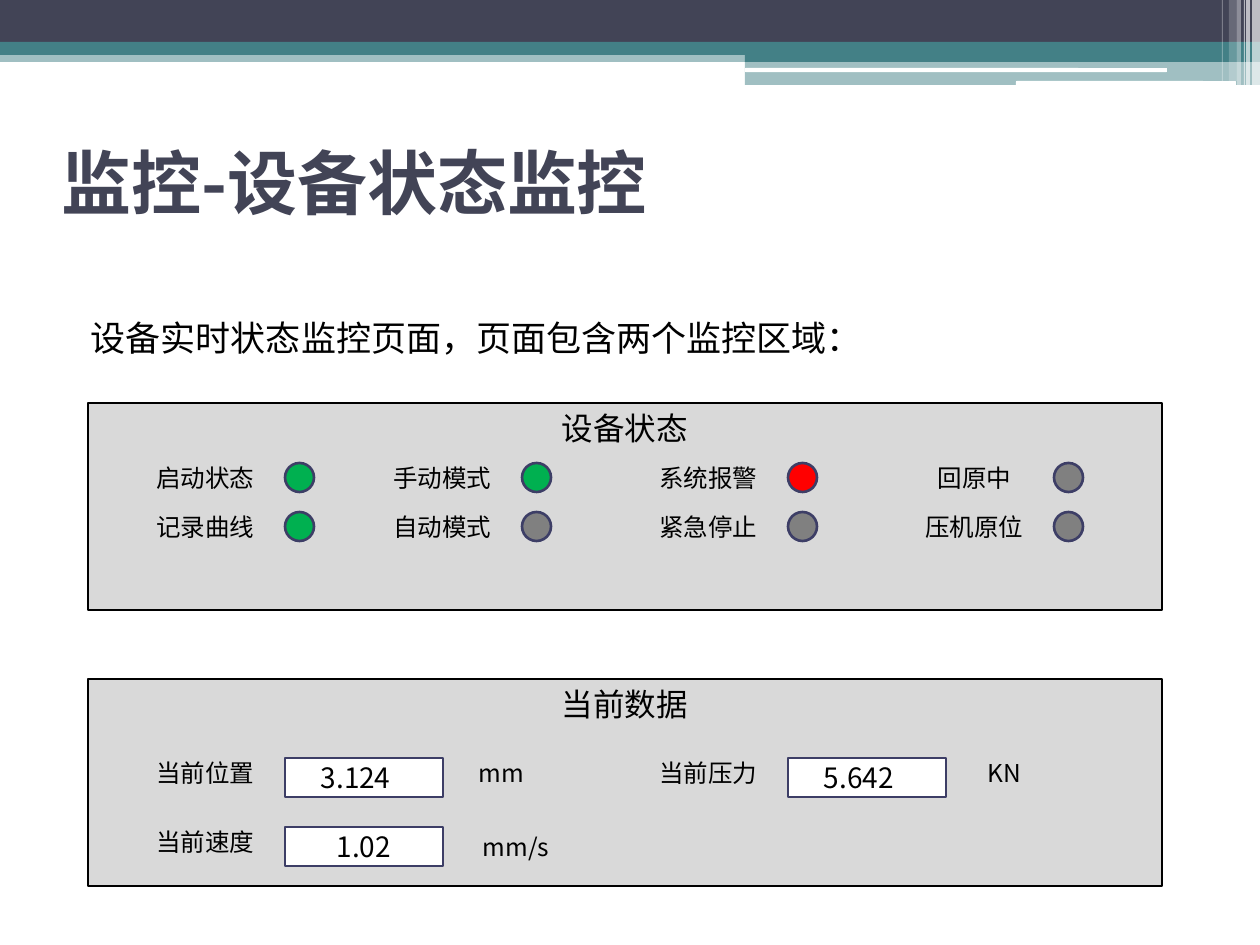
from dataclasses import dataclass
from lxml.etree import SubElement
from pptx import Presentation
from pptx.dml.color import RGBColor
from pptx.enum.lang import MSO_LANGUAGE_ID
from pptx.enum.shapes import MSO_SHAPE
from pptx.enum.text import MSO_ANCHOR, PP_ALIGN
from pptx.oxml.ns import qn
from pptx.util import Emu, Inches, Pt

SCALE = 914400 / 126


def px(n):
    return Emu(round(n * SCALE))


@dataclass(frozen=True)
class Theme:
    font: str = "Noto Sans CJK SC"
    navy: str = "424456"
    teal: str = "438086"
    white: str = "FFFFFF"
    black: str = "000000"
    panel: str = "D9D9D9"
    edge: str = "3D3E66"
    green: str = "00B050"
    red: str = "FF0000"
    gray: str = "808080"
    title: int = 40
    body: int = 20
    head: int = 18
    value: int = 16
    label: int = 14


class Deck:
    def __init__(self, theme):
        self.t = theme
        self.prs = Presentation()
        self.prs.slide_width, self.prs.slide_height = px(1260), px(945)
        self.slide = self.prs.slides.add_slide(self.prs.slide_layouts[1])

    def style(self, frame, text, size, color, align, anchor, bold=False):
        frame.text = text
        frame.word_wrap = True
        frame.vertical_anchor = anchor
        para = frame.paragraphs[0]
        para.alignment = align
        font = para.runs[0].font
        font.name, font.size, font.bold = self.t.font, Pt(size), bold
        font.color.rgb = RGBColor.from_string(color)
        font.language_id = MSO_LANGUAGE_ID.SIMPLIFIED_CHINESE
        face = SubElement(font._element, qn("a:ea"))
        face.set("typeface", self.t.font)
        return para

    def place(self, holder, box):
        holder.left, holder.top, holder.width, holder.height = map(px, box)

    def title(self, text, box):
        holder = self.slide.shapes.title
        self.place(holder, box)
        self.style(holder.text_frame, text, self.t.title, self.t.navy,
                   PP_ALIGN.LEFT, MSO_ANCHOR.MIDDLE, True)

    def body(self, text, box):
        holder = self.slide.placeholders[1]
        self.place(holder, box)
        para = self.style(holder.text_frame, text, self.t.body, self.t.black,
                          PP_ALIGN.LEFT, MSO_ANCHOR.TOP)
        para.space_before = Pt(3)
        props = para._p.get_or_add_pPr()
        props.set("marL", str(Inches(0.4)))
        props.set("indent", str(Inches(-0.28)))
        SubElement(props, qn("a:buNone"))

    def shape(self, box, fill, line=None, alpha=100, kind=MSO_SHAPE.RECTANGLE):
        item = self.slide.shapes.add_shape(kind, *map(px, box))
        item.shadow.inherit = False
        item.fill.solid()
        item.fill.fore_color.rgb = RGBColor.from_string(fill)
        if alpha < 100:
            color = item._element.spPr.find(qn("a:solidFill"))[0]
            SubElement(color, qn("a:alpha")).set("val", str(alpha * 1000))
        if line:
            item.line.color.rgb = RGBColor.from_string(line)
            item.line.width = Pt(1.5)
        else:
            item.line.fill.background()
        return item

    def panel(self, text, box):
        item = self.shape(box, self.t.panel, self.t.black)
        self.style(item.text_frame, text, self.t.head, self.t.black,
                   PP_ALIGN.CENTER, MSO_ANCHOR.TOP)

    def label(self, text, box):
        item = self.shape(box, self.t.panel)
        frame = item.text_frame
        frame.margin_top = frame.margin_bottom = 0
        self.style(frame, text, self.t.label, self.t.black,
                   PP_ALIGN.CENTER, MSO_ANCHOR.MIDDLE)

    def lamp(self, x, y, color):
        self.shape((x, y, 29, 29), color, self.t.edge, kind=MSO_SHAPE.OVAL)

    def field(self, text, x, y, shift):
        item = self.shape((x, y, 158, 39), self.t.white, self.t.edge)
        frame = item.text_frame
        frame.margin_right = px(13 + 2 * shift)
        self.style(frame, text, self.t.value, self.t.black,
                   PP_ALIGN.CENTER, MSO_ANCHOR.MIDDLE)


t = Theme()
deck = Deck(t)

# Title and intro
deck.title("监控-设备状态监控", (49, 108, 1134, 147))
deck.body("设备实时状态监控页面，页面包含两个监控区域：", (63, 310, 1134, 596))

# Top bands
for box, color, alpha in [
    ((0, 50, 1260, 12), t.teal, 50),
    ((0, 0, 1260, 42), t.navy, 100),
    ((0, 42, 1260, 13), t.teal, 100),
    ((745, 49, 515, 13), t.teal, 100),
    ((745, 61, 515, 24), t.teal, 50),
]:
    deck.shape(box, color, alpha=alpha)
for box in [(745, 68, 422, 4), (1016, 81, 220, 5)]:
    deck.shape(box, t.white, kind=MSO_SHAPE.ROUNDED_RECTANGLE)

# Corner stripes
for x, wide, high, alpha in [
    (1252, 8, 86, 65), (1246, 4, 86, 65), (1244, 1, 86, 60),
    (1237, 4, 86, 40), (1229, 8, 81, 20), (1222, 1, 81, 30),
]:
    deck.shape((x, 0, wide, high), t.white, alpha=alpha)

# Device state: columns of labels with lamps
LEFT, GAP = 137, 148
deck.panel("设备状态", (88, 403, 1074, 207))
states = {
    LEFT: [("启动状态", t.green), ("记录曲线", t.green)],
    374: [("手动模式", t.green), ("自动模式", t.gray)],
    640: [("系统报警", t.red), ("紧急停止", t.gray)],
    906: [("回原中", t.gray), ("压机原位", t.gray)],
}
for x, column in states.items():
    for row, (name, color) in enumerate(column):
        y = 463 + 49 * row
        deck.label(name, (x, y, 137, 29))
        deck.lamp(x + GAP, y, color)

# Current data: label, value and unit
deck.panel("当前数据", (88, 679, 1074, 207))
for x, y, name, value, shift, unit, wide, drop in [
    (LEFT, 758, "当前位置", "3.124", 8, "mm", 79, 0),
    (640, 758, "当前压力", "5.642", 8, "KN", 79, 0),
    (LEFT, 827, "当前速度", "1.02", 0, "mm/s", 108, 5),
]:
    deck.label(name, (x, y, 137, 29))
    deck.field(value, x + GAP, y, shift)
    deck.label(unit, (x + 325, y + drop, wide, 29))

deck.prs.save("out.pptx")
